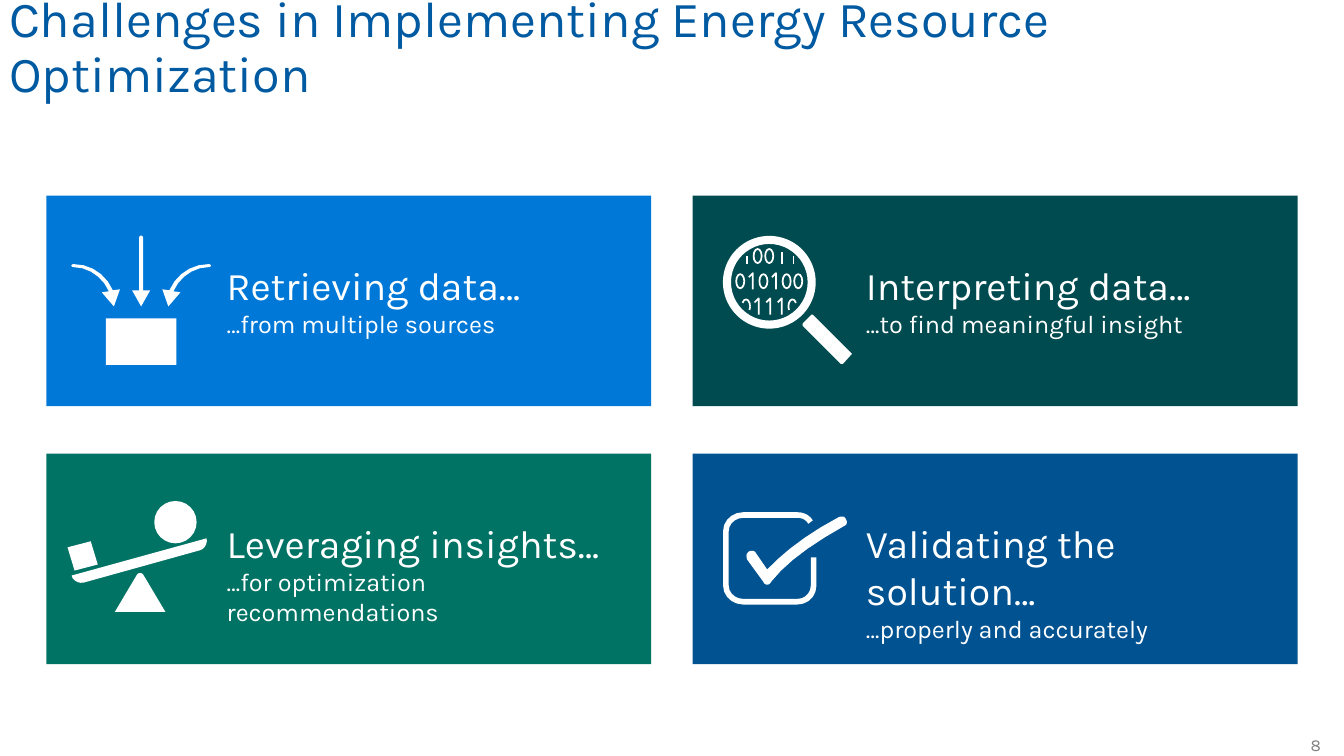
import itertools
import math

import pptx
import pptx.dml.color
import pptx.enum.shapes
import pptx.enum.text
import pptx.util

Inches = pptx.util.Inches
SHAPE = pptx.enum.shapes.MSO_SHAPE
ANCHOR = pptx.enum.text.MSO_ANCHOR
ALIGN = pptx.enum.text.PP_ALIGN
FIT = pptx.enum.text.MSO_AUTO_SIZE

COLORS = {
    "white": "FFFFFF", "title": "005AA1", "number": "808080",
    "azure": "0078D7", "teal": "004B50", "green": "007365", "navy": "005291",
}
CARD_WIDTH, CARD_HEIGHT = 6, 2.09
# card left, card top, colour, text left, text width, heading, detail
CARDS = [
    (0.46, 1.94, "azure", 2.15, 3.9, "Retrieving data…", "…from multiple sources"),
    (6.87, 1.94, "teal", 8.49, 3.9, "Interpreting data…", "…to find meaningful insight"),
    (0.46, 4.5, "green", 2.15, 4.3, "Leveraging insights…", "…for optimization recommendations"),
    (6.87, 4.5, "navy", 8.49, 4.38, "Validating the solution…", "…properly and accurately"),
]
LENS_X, LENS_Y, LENS_RADIUS, RING = 7.63, 2.8, 0.46, 0.08
CURVE_PARTS = 5


def rgb(name):
    return pptx.dml.color.RGBColor.from_string(COLORS[name])


def apply(target, **values):
    for name, value in values.items():
        setattr(target, name, value)


def add_solid(shapes, kind, left, top, width, height, color="white"):
    shape = shapes.add_shape(kind, *map(Inches, (left, top, width, height)))
    shape.shadow.inherit = False
    shape.fill.solid()
    shape.fill.fore_color.rgb = rgb(color)
    shape.line.fill.background()
    return shape


def write(para, text, size, color):
    span = para.add_run()
    span.text = text
    apply(span.font, name="Karla", size=pptx.util.Pt(size))
    span.font.color.rgb = rgb(color)


def add_text(slide, place, lines, color, align=ALIGN.LEFT, **frame_format):
    """Add a text box; lines holds one (text, size) pair per paragraph."""
    box = slide.shapes.add_textbox(*map(Inches, place))
    apply(box.text_frame, word_wrap=True, **frame_format)
    for index, (text, size) in enumerate(lines):
        para = box.text_frame.add_paragraph() if index else box.text_frame.paragraphs[0]
        para.alignment = align
        write(para, text, size, color)


def trace(start, steps):
    """Return points along steps: a pair is a line end, six numbers a cubic curve."""
    points = [start]
    for step in steps:
        if len(step) == 2:
            points.append(step)
            continue
        nodes = [points[-1], step[:2], step[2:4], step[4:]]
        for part in range(1, CURVE_PARTS + 1):
            t = part / CURVE_PARTS
            weights = ((1 - t) ** 3, 3 * t * (1 - t) ** 2, 3 * t * t * (1 - t), t ** 3)
            points.append(tuple(
                sum(w * node[axis] for w, node in zip(weights, nodes)) for axis in (0, 1)))
    return points


def add_outline(shapes, *contours, stroke=None):
    """Draw contours as one white area, or as open white lines when stroke is given."""
    contours = [[(Inches(x), Inches(y)) for x, y in points] for points in contours]
    builder = shapes.build_freeform(*contours[0][0])
    for index, corners in enumerate(contours):
        if index:
            builder.move_to(*corners[0])
        builder.add_line_segments(corners[1:], close=stroke is None)
    shape = builder.convert_to_shape()
    shape.shadow.inherit = False
    if stroke is None:
        shape.fill.solid()
        shape.fill.fore_color.rgb = rgb("white")
        shape.line.fill.background()
    else:
        shape.fill.background()
        shape.line.color.rgb = rgb("white")
        shape.line.width = pptx.util.Pt(stroke)


def add_collect_icon(shapes):
    add_solid(shapes, SHAPE.RECTANGLE, 1.05, 3.16, 0.7, 0.46)
    add_outline(shapes, trace((1.42, 2.88), [
        (1.42, 2.36), (1.42, 2.33, 1.38, 2.33, 1.38, 2.36), (1.38, 2.88),
        (1.31, 2.88), (1.4, 3.04), (1.49, 2.88)]))
    right_arrow = trace((2.07, 2.62), [
        (1.9, 2.62, 1.75, 2.72, 1.68, 2.88), (1.61, 2.87), (1.67, 3.04), (1.79, 2.9),
        (1.72, 2.89), (1.78, 2.75, 1.92, 2.65, 2.07, 2.65),
        (2.1, 2.65, 2.1, 2.62, 2.07, 2.62)])
    add_outline(shapes, right_arrow)
    add_outline(shapes, [(2.8 - x, y) for x, y in right_arrow])


def add_seesaw_icon(shapes):
    add_outline(shapes, trace((1.14, 6.07), [
        (1.36, 5.7), (1.37, 5.68, 1.41, 5.68, 1.42, 5.7), (1.64, 6.07)]))
    add_outline(shapes, trace((1.98, 5.46), [
        (0.83, 5.78), (0.78, 5.79, 0.72, 5.76, 0.71, 5.71), (2.05, 5.34),
        (2.06, 5.39, 2.03, 5.45, 1.98, 5.46)]))
    add_solid(shapes, SHAPE.OVAL, 1.53, 4.97, 0.42, 0.42)
    add_outline(shapes, [(0.97, 5.6), (0.74, 5.66), (0.67, 5.43), (0.9, 5.37)])


def digit_points(digit, x, y):
    if digit == "0":
        angles = [math.tau * step / 12 for step in range(13)]
        return [(x + 0.04 * math.cos(a), y + 0.07 * math.sin(a)) for a in angles]
    stem = [(x + 0.01, y - 0.08 + 0.04 * step) for step in range(5)]
    return [(x - 0.03, y - 0.04)] + stem


def in_lens(point):
    return math.dist(point, (LENS_X, LENS_Y)) < LENS_RADIUS - RING - 0.02


def add_magnifier_icon(shapes):
    size = 2 * LENS_RADIUS
    ring = add_solid(shapes, SHAPE.DONUT, LENS_X - LENS_RADIUS, LENS_Y - LENS_RADIUS, size, size)
    ring.adjustments[0] = RING / size
    add_outline(shapes, [(8.06, 3.12), (8.45, 3.51), (8.36, 3.61),
                         (8.34, 3.61), (7.96, 3.23), (7.96, 3.21), (8.05, 3.12)])
    strokes = []
    for row, digits in enumerate(("10011", "010100", "01110")):
        first = LENS_X - 0.115 * (len(digits) - 1) / 2
        for column, digit in enumerate(digits):
            points = digit_points(digit, first + 0.115 * column, 2.54 + 0.25 * row)
            pieces = [list(piece) for seen, piece in itertools.groupby(points, in_lens) if seen]
            strokes += [piece for piece in pieces if len(piece) > 1]
    add_outline(shapes, *strokes, stroke=1.25)


def add_check_icon(shapes):
    add_outline(shapes, trace((8.04, 5.18), [
        (8.01, 5.13, 7.96, 5.11, 7.91, 5.11), (7.37, 5.11),
        (7.28, 5.11, 7.2, 5.18, 7.2, 5.27), (7.2, 5.81),
        (7.2, 5.9, 7.28, 5.97, 7.37, 5.97), (7.91, 5.97),
        (8, 5.97, 8.07, 5.9, 8.07, 5.81), (8.07, 5.53)]), stroke=4)
    add_outline(shapes, trace((7.61, 5.8), [
        (7.59, 5.8, 7.58, 5.79, 7.57, 5.77), (7.41, 5.55),
        (7.4, 5.52, 7.4, 5.49, 7.43, 5.47), (7.45, 5.46, 7.49, 5.46, 7.5, 5.49),
        (7.61, 5.65), (7.77, 5.48, 8, 5.3, 8.32, 5.13),
        (8.35, 5.12, 8.38, 5.12, 8.39, 5.15), (8.41, 5.18, 8.4, 5.21, 8.37, 5.22),
        (8.03, 5.41, 7.79, 5.59, 7.65, 5.77), (7.64, 5.79, 7.63, 5.8, 7.61, 5.8)]))


def set_title(slide, text):
    title = slide.shapes.title
    apply(title, left=Inches(0), top=Inches(0), width=Inches(13.33), height=Inches(0.97))
    apply(title.text_frame, word_wrap=True, auto_size=FIT.NONE,
          vertical_anchor=ANCHOR.MIDDLE, margin_left=Inches(0.09))
    para = title.text_frame.paragraphs[0]
    apply(para, alignment=ALIGN.LEFT, line_spacing=0.9)
    write(para, text, 36, "title")


def main():
    deck = pptx.Presentation()
    apply(deck, slide_width=Inches(13.33), slide_height=Inches(7.5))
    slide = deck.slides.add_slide(deck.slide_layouts[5])
    set_title(slide, "Challenges in Implementing Energy Resource Optimization")
    for left, top, color, text_left, text_width, heading, detail in CARDS:
        add_solid(slide.shapes, SHAPE.RECTANGLE, left, top, CARD_WIDTH, CARD_HEIGHT, color)
        add_text(slide, (text_left, top + 0.6, text_width, 0.88),
                 [(heading, 28), (detail, 18)], "white", auto_size=FIT.SHAPE_TO_FIT_TEXT)
    for add_icon in (add_seesaw_icon, add_collect_icon):
        add_icon(slide.shapes.add_group_shape().shapes)
    add_magnifier_icon(slide.shapes)
    add_check_icon(slide.shapes)
    add_text(slide, (10.47, 7.19, 2.73, 0.4), [("8", 12)], "number",
             align=ALIGN.RIGHT, vertical_anchor=ANCHOR.MIDDLE)
    deck.save("out.pptx")


if __name__ == "__main__":
    main()
